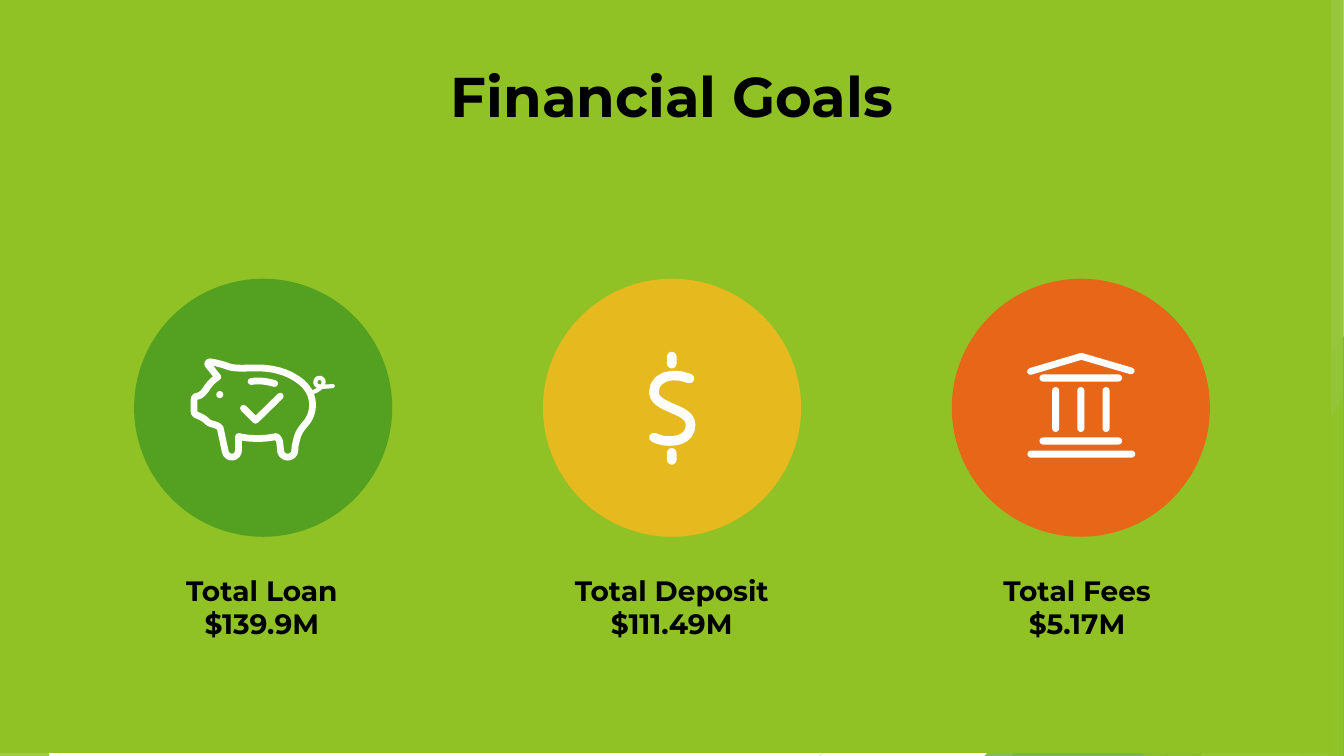
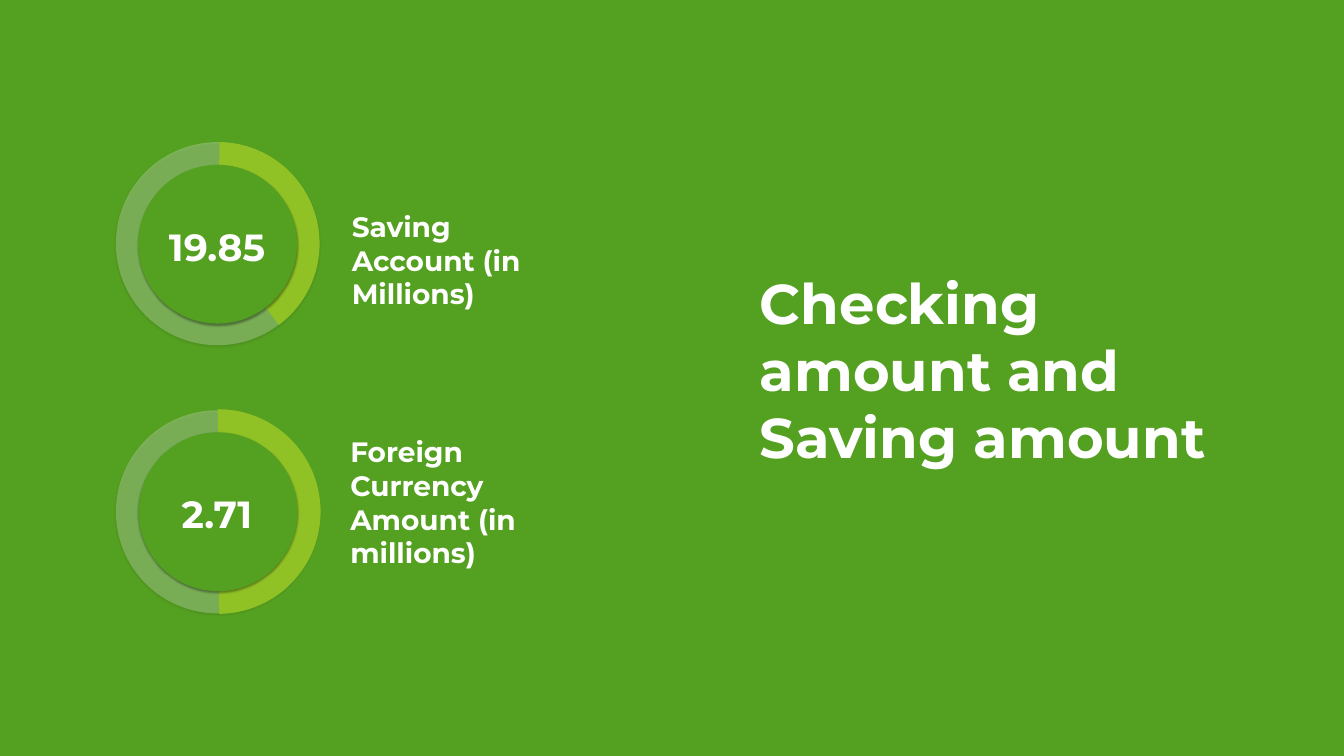
"""Build two slides on financial goals and account amounts."""
from lxml import etree
from pptx import Presentation
from pptx.dml.color import RGBColor
from pptx.enum import shapes as kinds, text as txt
from pptx.oxml.ns import qn
from pptx.util import Inches, Pt

FONT = "Montserrat"
BLACK = RGBColor(0x00, 0x00, 0x00)
WHITE = RGBColor(0xFF, 0xFF, 0xFF)
LIME = RGBColor(0x90, 0xC2, 0x26)
GREEN = RGBColor(0x54, 0xA0, 0x21)
DARK_GREEN = RGBColor(0x3F, 0x78, 0x19)
PALE_LIME = RGBColor(0xC0, 0xE4, 0x74)
GOLD = RGBColor(0xE6, 0xB9, 0x1E)
ORANGE = RGBColor(0xE7, 0x66, 0x18)
GREY = RGBColor(0xBF, 0xBF, 0xBF)
LIGHT_GREY = RGBColor(0xD9, 0xD9, 0xD9)

RECT = kinds.MSO_SHAPE.RECTANGLE
PILL = kinds.MSO_SHAPE.ROUNDED_RECTANGLE
OVAL = kinds.MSO_SHAPE.OVAL
PIE = kinds.MSO_SHAPE.PIE
TRIANGLE = kinds.MSO_SHAPE.ISOSCELES_TRIANGLE
CENTER, LEFT = txt.PP_ALIGN.CENTER, txt.PP_ALIGN.LEFT

PIG_BACK = (
    "L 5.57,8.97 C 5.59,9.03 5.65,9.07 5.71,9.07 5.78,9.07 5.85,9.01 5.85,8.93 "
    "5.85,8.88 5.85,8.86 5.86,8.83 5.87,8.78 5.88,8.74 5.89,8.7 "
    "5.92,8.58 5.98,8.5 6.05,8.42 6.15,8.31 6.2,8.18 6.2,8.03 "
    "6.2,7.83 6.1,7.65 5.88,7.51 5.67,7.37 5.4,7.3 5.11,7.3 "
    "5.06,7.3 5.01,7.3 4.97,7.3 4.8,7.31 4.62,7.31 4.52,7.27 "
    "4.45,7.24 4.3,7.2 4.18,7.18 4.13,7.18 4.11,7.21 4.13,7.24 L 4.32,7.48")
PIG_BELLY = (
    "L 4.32,7.48 C 4.2,7.56 4.13,7.65 4.09,7.72 4.03,7.8 3.98,7.85 3.92,7.86 "
    "3.88,7.86 3.85,7.89 3.85,7.93 L 3.85,8.16 C 3.85,8.19 3.87,8.22 3.89,8.23 "
    "3.96,8.26 4.04,8.29 4.11,8.36 4.15,8.4 4.2,8.41 4.24,8.42 "
    "4.3,8.44 4.35,8.46 4.37,8.5 L 4.47,8.97 C 4.49,9.03 4.54,9.07 4.6,9.07 "
    "4.67,9.07 4.73,9.01 4.73,8.94 L 4.73,8.66 C 4.85,8.69 4.98,8.7 5.11,8.7 "
    "5.24,8.7 5.36,8.69 5.48,8.66 5.53,8.7 5.55,8.75 5.55,8.79 L 5.57,8.97")
PIG_SLOT = "L 4.98,7.57 C 5.15,7.54 5.3,7.57 5.45,7.61"
PIG_CHECK = "L 4.83,8.1 5.07,8.34 5.56,7.86"
PIG_TAIL = ("L 6.14,7.8 C 6.3,7.76 6.42,7.68 6.42,7.57 6.41,7.48 6.28,7.47 6.26,7.56 "
            "6.23,7.7 6.4,7.68 6.6,7.66")
DOLLAR_CURVE = (
    "L 12.97,8.68 C 13.1,8.74 13.2,8.75 13.29,8.75 13.5,8.75 13.7,8.66 13.7,8.43 "
    "13.7,8.25 13.5,8.17 13.33,8.1 13.15,8.02 12.97,7.94 12.97,7.78 "
    "12.97,7.5 13.3,7.36 13.68,7.51")
ROOF = "L 20.44,7.37 21.45,7.07 22.44,7.36"


def paint(shape, color, alpha=None):
    """Give a shape a flat fill, with optional opacity in percent."""
    shape.fill.solid()
    shape.fill.fore_color.rgb = color
    if alpha:
        tint = shape.element.spPr.find(".//" + qn("a:srgbClr"))
        etree.SubElement(tint, qn("a:alpha"), val=str(alpha * 1000))
    shape.line.fill.background()
    shape.shadow.inherit = False
    return shape


def add_preset(parent, preset, box, color, alpha=None, adjust=()):
    """Add a flat preset shape."""
    shape = parent.shapes.add_shape(preset, *map(Inches, box))
    for index, value in enumerate(adjust):
        shape.adjustments[index] = value
    return paint(shape, color, alpha)


def add_line(parent, start, end, color):
    """Add a thin straight line."""
    line = parent.shapes.add_connector(kinds.MSO_CONNECTOR.STRAIGHT, *map(Inches, start + end))
    line.line.color.rgb = color
    line.line.width = Pt(0.75)
    etree.SubElement(line.element.spPr, qn("a:effectLst"))


def bezier(points, steps=6):
    """Sample a cubic curve after its first point."""
    for step in range(1, steps + 1):
        t = step / steps
        weights = ((1 - t) ** 3, 3 * t * (1 - t) ** 2, 3 * t * t * (1 - t), t ** 3)
        yield tuple(sum(w * p[axis] for w, p in zip(weights, points)) for axis in (0, 1))


def trace(curve):
    """Turn straight (L) and curved (C) segments into points."""
    points, pending, curved = [], [], False
    for token in curve.split():
        if token in "LC":
            curved = token == "C"
            continue
        pending.append(tuple(map(float, token.split(","))))
        if not curved:
            points += pending
            pending = []
        elif len(pending) == 3:
            points += bezier([points[-1], *pending])
            pending = []
    return points


def add_outline(parent, points, close):
    """Add a freeform through points."""
    first, *rest = [(Inches(x), Inches(y)) for x, y in points]
    builder = parent.shapes.build_freeform(*first, scale=1.0)
    builder.add_line_segments(rest, close=close)
    return builder.convert_to_shape()


def add_stroke(parent, curve, width):
    """Draw a white round-ended stroke along a curve."""
    stroke = add_outline(parent, trace(curve), False)
    stroke.fill.background()
    stroke.line.color.rgb = WHITE
    stroke.line.width = Pt(width)
    stroke.shadow.inherit = False
    ink = stroke.element.spPr.find(qn("a:ln"))
    ink.set("cap", "rnd")
    etree.SubElement(ink, qn("a:round"))


def write(shape, box, words, size, color, align=LEFT, wrap=True):
    """Place a text holder and set its bold words."""
    shape.left, shape.top, shape.width, shape.height = map(Inches, box)
    frame = shape.text_frame
    frame.text = words
    frame.word_wrap = wrap
    frame.auto_size = txt.MSO_AUTO_SIZE.SHAPE_TO_FIT_TEXT
    frame.vertical_anchor = txt.MSO_ANCHOR.TOP
    for paragraph in frame.paragraphs:
        paragraph.alignment = align
        font = paragraph.font
        font.name, font.size, font.bold = FONT, Pt(size), True
        font.color.rgb = color


def add_text(parent, box, *style, **options):
    """Add a text box."""
    write(parent.shapes.add_textbox(*map(Inches, box)), box, *style, **options)


def add_slide(prs, panel_box, panel_color, title_box, title, title_color, align):
    """Add a slide with a coloured panel behind its title."""
    slide = prs.slides.add_slide(prs.slide_layouts[5])
    heading = slide.shapes.title
    panel = add_preset(slide, RECT, panel_box, panel_color)
    heading.element.addprevious(panel.element)
    write(heading, title_box, title, 80, title_color, align)
    return slide


def add_facets(slide):
    """Draw the faceted edges and hand them to the shared layout."""
    facets = slide.shapes.add_group_shape()
    add_line(facets, (20.49, 0), (23.16, 15), GREY)
    add_line(facets, (26.65, 8.05), (16.24, 15), LIGHT_GREY)

    def band(top_left, bottom_left, bottom_right, color, alpha, top_right=26.65):
        corners = [(top_left, -0.02), (top_right, -0.02), (bottom_right, 15), (bottom_left, 15)]
        paint(add_outline(facets, corners, True), color, alpha)

    band(24.55, 20.08, 26.65, LIME, 30)
    band(21, 23.64, 26.66, LIME, 20, 26.66)
    add_preset(facets, TRIANGLE, (19.53, 6.67, 7.13, 8.33), GREEN, 72, [1])
    band(20.41, 25.81, 26.65, DARK_GREEN, 70)
    band(26.06, 23.83, 26.65, PALE_LIME, 70)
    band(23.92, 26.35, 26.65, LIME, 65)
    add_preset(facets, TRIANGLE, (22.68, 7.85, 3.97, 7.15), LIME, 80, [1])
    add_preset(facets, TRIANGLE, (0, 8.78, 0.98, 6.22), LIME, 85, [0])
    for number, node in enumerate(facets.element.xpath(".//p:cNvPr"), 100):
        node.set("id", str(number))
    slide.slide_layout.element.cSld.spTree.insert(2, facets.element)


def add_pig(slide):
    """Draw the piggy bank icon."""
    pig = slide.shapes.add_group_shape()
    for curve in (PIG_BACK, PIG_BELLY, PIG_SLOT, PIG_CHECK):
        add_stroke(pig, curve, 9.7)
    add_stroke(pig, PIG_TAIL, 6)
    add_preset(pig, OVAL, (4.29, 7.76, 0.14, 0.14), WHITE)


def add_dollar(slide):
    """Draw the dollar icon."""
    dollar = slide.shapes.add_group_shape()
    add_stroke(dollar, DOLLAR_CURVE, 13.7)
    for top in (6.98, 8.89):
        add_preset(dollar, PILL, (13.23, top, 0.19, 0.33), WHITE, adjust=[0.5])


def add_bank(slide):
    """Draw the bank building icon."""
    bank = slide.shapes.add_group_shape()
    beams = [(20.62, 8.68, 1.64, 0.14), (20.62, 7.43, 1.64, 0.14), (20.38, 8.94, 2.14, 0.14)]
    columns = [(20.87 + 0.5 * i, 7.68, 0.14, 0.89) for i in range(3)]
    for box in beams + columns:
        add_preset(bank, PILL, box, WHITE, adjust=[0.5])
    add_stroke(bank, ROOF, 9.7)


def add_shadow(shape):
    """Add a soft shadow below a shape."""
    effects = shape.element.spPr.find(qn("a:effectLst"))
    shadow = etree.SubElement(effects, qn("a:outerShdw"), blurRad=str(Pt(3)), dist=str(Pt(2)),
                              dir="5400000", rotWithShape="0")
    tint = etree.SubElement(shadow, qn("a:srgbClr"), val="000000")
    etree.SubElement(tint, qn("a:alpha"), val="35000")


def add_gauge(slide, ring_top, pie_box, angles, hub, amount, amount_box, label, label_box):
    """Add a ring gauge with its amount and label."""
    gauge = slide.shapes.add_group_shape()
    add_shadow(add_preset(gauge, OVAL, (2.3, ring_top, 4.03, 4.03), WHITE, 25))
    add_preset(gauge, PIE, pie_box, LIME, adjust=[angle * 0.6 for angle in angles])
    add_shadow(add_preset(gauge, OVAL, (*hub, 3.15, 3.15), GREEN))
    add_text(gauge, amount_box, amount, 54, WHITE, CENTER, wrap=False)
    add_text(gauge, label_box, label, 40, WHITE)


def main():
    """Build and save both slides."""
    prs = Presentation()
    prs.slide_width, prs.slide_height = Inches(26.66), Inches(15)

    goals = add_slide(prs, (-0.26, -0.06, 26.66, 15), LIME, (2.46, 1.18, 21.74, 1.45),
                      "Financial Goals", BLACK, CENTER)
    add_facets(goals)
    totals = [(GREEN, 2.81, "Total Loan\n$139.9M"),
              (GOLD, 10.94, "Total Deposit\n$111.49M"),
              (ORANGE, 18.98, "Total Fees\n$5.17M")]
    for index, (color, caption_left, caption) in enumerate(totals):
        add_preset(goals, OVAL, (2.66 + 8.11 * index, 5.53, 5.12, 5.12), color)
        add_text(goals, (caption_left, 11.32, 4.77, 1.45), caption, 40, BLACK, CENTER)
    add_pig(goals)
    add_dollar(goals)
    add_bank(goals)

    amounts = add_slide(prs, (0, 0, 26.66, 15), GREEN, (14.97, 5.28, 9.29, 4.14),
                        "Checking amount and Saving amount", WHITE, LEFT)
    add_gauge(amounts, 2.82, (2.31, 2.82, 4.03, 4.03), (270.86, 53.19), (2.74, 3.27),
              "19.85", (3.23, 4.38, 2.15, 1.01),
              "Saving Account (in Millions)", (6.88, 4.11, 4.03, 2.12))
    add_gauge(amounts, 8.14, (2.3, 8.12, 4.06, 4.06), (269.92, 89.4), (2.75, 8.58),
              "2.71", (3.45, 9.69, 1.71, 1.01),
              "Foreign Currency Amount (in millions)", (6.85, 8.58, 4.03, 2.79))
    prs.save("out.pptx")


if __name__ == "__main__":
    main()
